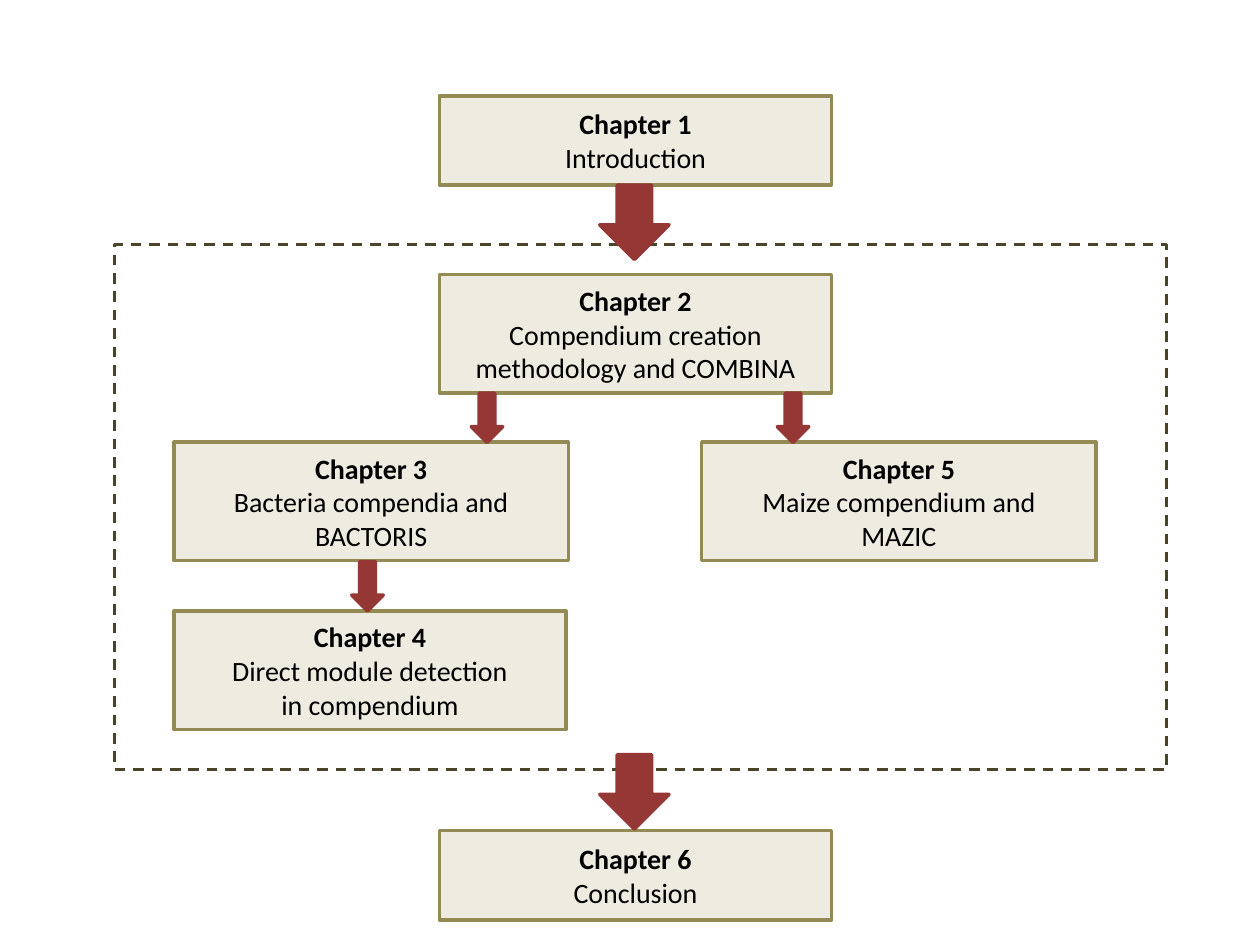
from dataclasses import dataclass
from pptx import Presentation
from pptx.dml.color import RGBColor
from pptx.enum.dml import MSO_LINE_DASH_STYLE as Dash
from pptx.enum.shapes import MSO_AUTO_SHAPE_TYPE as Shape
from pptx.enum.text import MSO_ANCHOR as Anchor, PP_ALIGN as Align
from pptx.util import Pt


@dataclass(frozen=True)
class Theme:
    font: str = "Calibri"
    text_size: float = 16
    text: str = "000000"
    panel: str = "EEECE1"
    border: str = "948A54"
    frame: str = "4A452A"
    arrow: str = "953735"
    line: float = 2
    frame_line: float = 1.5


@dataclass(frozen=True)
class Box:
    left: float
    top: float
    width: float
    height: float

    @property
    def bottom(self):
        return self.top + self.height

    @property
    def center(self):
        return self.left + self.width / 2


THEME = Theme()
PAGE_WIDTH, PAGE_HEIGHT = 720, 540
LARGE_ARROW = (39.6, 42.5)
SMALL_ARROW = (18, 28.1)


def add_outlined(page, kind, box, line_color, line_width, fill_color=None):
    shape = page.shapes.add_shape(
        kind, Pt(box.left), Pt(box.top), Pt(box.width), Pt(box.height))
    shape.shadow.inherit = False
    if fill_color:
        shape.fill.solid()
        shape.fill.fore_color.rgb = RGBColor.from_string(fill_color)
    else:
        shape.fill.background()
    shape.line.color.rgb = RGBColor.from_string(line_color)
    shape.line.width = Pt(line_width)
    return shape


def add_chapter(page, box, number, *topic):
    shape = add_outlined(page, Shape.ROUNDED_RECTANGLE, box,
                         THEME.border, THEME.line, THEME.panel)
    shape.adjustments[0] = 0
    frame = shape.text_frame
    frame.word_wrap = True
    frame.vertical_anchor = Anchor.MIDDLE
    for index, text in enumerate((f"Chapter {number}", *topic)):
        para = frame.add_paragraph() if index else frame.paragraphs[0]
        para.alignment = Align.CENTER
        span = para.add_run()
        span.text = text
        span.font.name = THEME.font
        span.font.size = Pt(THEME.text_size)
        span.font.bold = index == 0
        span.font.color.rgb = RGBColor.from_string(THEME.text)


def add_frame(page, box):
    shape = add_outlined(page, Shape.RECTANGLE, box, THEME.frame, THEME.frame_line)
    shape.line.dash_style = Dash.DASH


def add_down_arrow(page, center, top, size):
    width, height = size
    box = Box(center - width / 2, top, width, height)
    add_outlined(page, Shape.DOWN_ARROW, box, THEME.arrow, THEME.line, THEME.arrow)


def add_outline(page, area):
    center = area.center + 3.2
    width, short, tall = 224, 51.1, 67.7
    left = center - width / 2
    branch_left, branch_width, branch_top = 99.4, 225.4, 252.7

    introduction = Box(left, 54.7, width, short)
    methodology = Box(left, 157, width, tall)
    bacteria = Box(branch_left, branch_top, branch_width, tall)
    maize = Box(401, branch_top, branch_width, tall)
    detection = Box(branch_left, 349.2, width, tall)
    conclusion = Box(left, 474.5, width, short)

    add_chapter(page, introduction, 1, "Introduction")
    add_chapter(page, methodology, 2, "Compendium creation methodology and COMBINA")
    add_chapter(page, bacteria, 3, "Bacteria compendia and", "BACTORIS")
    add_chapter(page, maize, 5, "Maize compendium and", "MAZIC")
    add_chapter(page, detection, 4, "Direct module detection", "in compendium")
    add_chapter(page, conclusion, 6, "Conclusion")
    add_frame(page, Box(65.5, 139.7, 601.2, 300.2))

    add_down_arrow(page, detection.center - 1.4, bacteria.bottom + 0.6, SMALL_ARROW)
    for branch_center in (453.2, 278.3):
        add_down_arrow(page, branch_center, methodology.bottom, SMALL_ARROW)
    for arrow_top in (introduction.bottom, conclusion.top - LARGE_ARROW[1] - 0.7):
        add_down_arrow(page, center - 0.7, arrow_top, LARGE_ARROW)


def main():
    deck = Presentation()
    deck.slide_width, deck.slide_height = Pt(PAGE_WIDTH), Pt(PAGE_HEIGHT)
    page = deck.slides.add_slide(deck.slide_layouts[6])
    add_outline(page, Box(0, 0, PAGE_WIDTH, PAGE_HEIGHT))
    deck.save("out.pptx")


if __name__ == "__main__":
    main()
